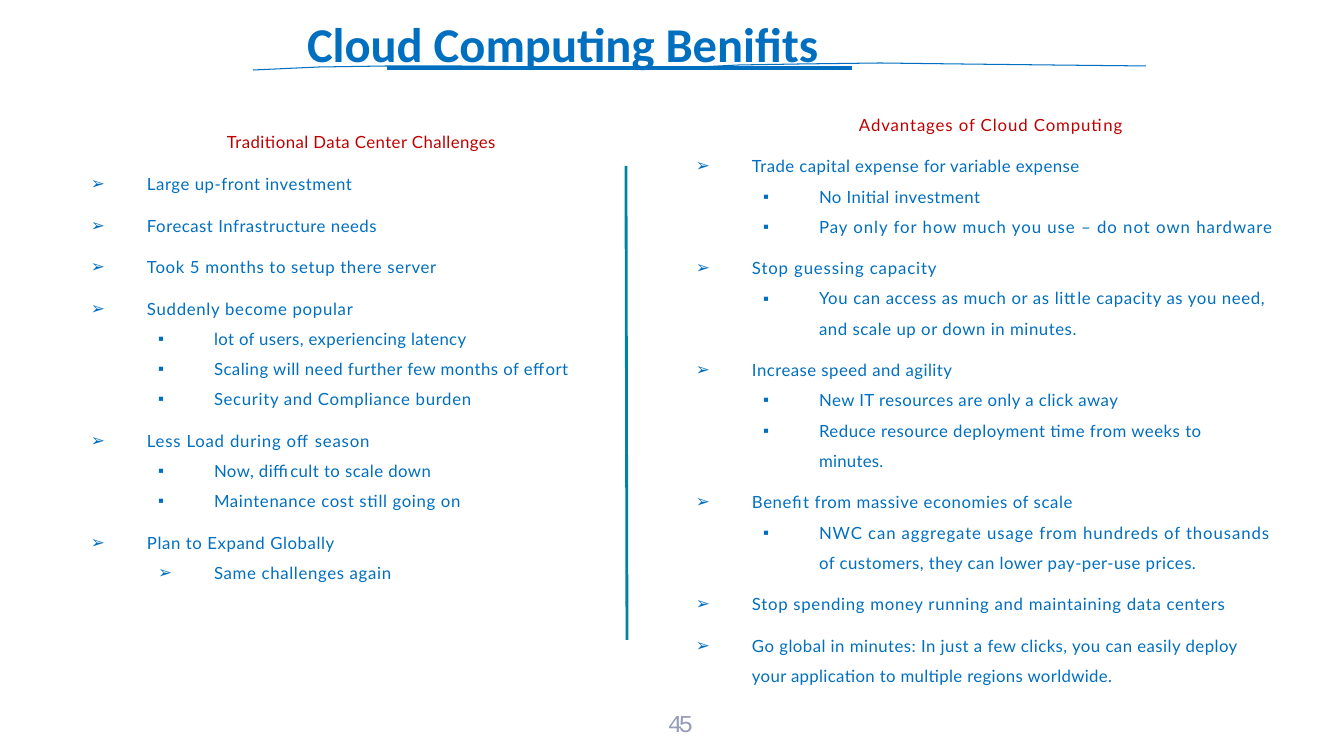
"""Builds the cloud computing benefits slide with two bulleted columns."""
from typing import Any, NamedTuple

from lxml import etree
from pptx import Presentation
from pptx import util as u
from pptx.dml.color import RGBColor
from pptx.enum import shapes, text
from pptx.oxml.ns import qn

EMU_PER_PX = 914400 / 100.8
COLORS = {"blue": "006FC0", "red": "C00000", "teal": "00839F", "gray": "969CB8"}
FONTS = {
    "title": {"name": "Calibri", "size": u.Pt(34.7), "bold": True},
    "body": {"name": "Lato", "size": u.Pt(12), "bold": False},
    "number": {"name": "Courier New", "size": u.Pt(17.3), "bold": False},
}
FRAME = {
    "margin_left": 0, "margin_right": 0, "margin_top": 0, "margin_bottom": 0,
    "word_wrap": True, "auto_size": text.MSO_AUTO_SIZE.NONE,
    "vertical_anchor": text.MSO_ANCHOR.TOP,
}
ARROW, SQUARE = "➢", "▪"
TEXT_INDENT, LEVEL_STEP, HANGING = 57, 67, 56


class Box(NamedTuple):
    left: int
    top: int
    width: int
    height: int


class Item(NamedTuple):
    level: int
    text: str
    tracking: tuple[float, ...]
    bullet: str = ""


class Column(NamedTuple):
    heading: Item
    heading_box: Box
    list_box: Box
    items: list[Item]


class Stroke(NamedTuple):
    points: list[tuple[int, int]]
    color: str
    weight: float


COLUMNS = [
    Column(
        Item(0, "Traditional Data Center Challenges", (0.3,)),
        Box(227, 132, 300, 22), Box(90, 174, 510, 420),
        [
            Item(0, "Large up-front investment", (0.4,), ARROW),
            Item(0, "Forecast Infrastructure needs", (0.36,), ARROW),
            Item(0, "Took 5 months to setup there server", (0.48,), ARROW),
            Item(0, "Suddenly become popular", (0.5,), ARROW),
            Item(1, "lot of users, experiencing latency", (0.25,), SQUARE),
            Item(1, "Scaling will need further few months of effort", (0.35,), SQUARE),
            Item(1, "Security and Compliance burden", (0.47,), SQUARE),
            Item(0, "Less Load during off season", (0.57,), ARROW),
            Item(1, "Now, difficult to scale down", (0.32,), SQUARE),
            Item(1, "Maintenance cost still going on", (0.44,), SQUARE),
            Item(0, "Plan to Expand Globally", (0.43,), ARROW),
            Item(1, "Same challenges again", (0.47,), ARROW),
        ],
    ),
    Column(
        Item(0, "Advantages of Cloud Computing", (0.65,)),
        Box(859, 115, 300, 22), Box(695, 156, 610, 540),
        [
            Item(0, "Trade capital expense for variable expense", (0.31,), ARROW),
            Item(1, "No Initial investment", (0.3,), SQUARE),
            Item(1, "Pay only for how much you use – do not own hardware", (0.7,), SQUARE),
            Item(0, "Stop guessing capacity", (0.62,), ARROW),
            Item(1, "You can access as much or as little capacity as you need,\n"
                 "and scale up or down in minutes.", (0.45, 0.39), SQUARE),
            Item(0, "Increase speed and agility", (0.34,), ARROW),
            Item(1, "New IT resources are only a click away", (0.34,), SQUARE),
            Item(1, "Reduce resource deployment time from weeks to\nminutes.",
                 (0.36, 0.2), SQUARE),
            Item(0, "Benefit from massive economies of scale", (0.43,), ARROW),
            Item(1, "NWC can aggregate usage from hundreds of thousands\n"
                 "of customers, they can lower pay-per-use prices.", (0.66, 0.33), SQUARE),
            Item(0, "Stop spending money running and maintaining data centers",
                 (0.52,), ARROW),
            Item(0, "Go global in minutes: In just a few clicks, you can easily deploy\n"
                 "your application to multiple regions worldwide.", (0.33, 0.26), ARROW),
        ],
    ),
]
SWOOSHES = [
    Stroke([(253, 70), (319, 67), (386, 66), (460, 66), (550, 67), (640, 67), (720, 68)],
           "blue", 0.75),
    Stroke([(679, 68), (739, 65), (800, 64), (880, 63), (960, 64), (1050, 65), (1146, 66)],
           "blue", 0.75),
]
RULES = [
    Stroke([(387, 68), (852, 68)], "blue", 2.75),
    Stroke([(626, 166), (627, 640)], "teal", 2),
]


def px(value: int) -> int:
    return round(value * EMU_PER_PX)


def rgb(color: str) -> RGBColor:
    return RGBColor.from_string(COLORS[color])


def set_attrs(target: Any, values: dict[str, Any]) -> None:
    for name, value in values.items():
        setattr(target, name, value)


def place(sp: Any, box: Box) -> None:
    set_attrs(sp, {name: px(value) for name, value in box._asdict().items()})


def write_item(p: Any, item: Item, font: str, color: str) -> None:
    pPr = p._p.get_or_add_pPr()
    if item.bullet:
        pPr.set("marL", str(px(TEXT_INDENT + LEVEL_STEP * item.level)))
        pPr.set("indent", str(-px(HANGING)))
        etree.SubElement(pPr, qn("a:buChar")).set("char", item.bullet)
    p.level = item.level
    p.alignment = text.PP_ALIGN.LEFT
    for i, (line, tracking) in enumerate(zip(item.text.split("\n"), item.tracking)):
        if i:
            p.add_line_break()
        r = p.add_run()
        r.text = line
        set_attrs(r.font, FONTS[font])
        r.font.color.rgb = rgb(color)
        r._r.get_or_add_rPr().set("spc", str(round(tracking * 100)))


def fill_text(sp: Any, box: Box, items: list[Item], font: str, color: str) -> None:
    place(sp, box)
    tf = sp.text_frame
    set_attrs(tf, FRAME)
    for i, item in enumerate(items):
        p = tf.add_paragraph() if i else tf.paragraphs[0]
        write_item(p, item, font, color)
        p.line_spacing = 1.5 if i else 1.0
        p.space_before = u.Pt(8 if i and item.level == 0 else 0)


def style_line(sp: Any, stroke: Stroke) -> None:
    sp.line.color.rgb = rgb(stroke.color)
    sp.line.width = u.Pt(stroke.weight)


def draw_swoosh(s: Any, stroke: Stroke) -> None:
    builder = s.shapes.build_freeform(*stroke.points[0], scale=EMU_PER_PX)
    builder.add_line_segments(stroke.points[1:], close=False)
    sp = builder.convert_to_shape()
    sp.fill.background()
    sp.shadow.inherit = False
    style_line(sp, stroke)


def draw_rule(s: Any, stroke: Stroke) -> None:
    ends = [px(value) for point in stroke.points for value in point]
    sp = s.shapes.add_connector(shapes.MSO_CONNECTOR.STRAIGHT, *ends)
    style_line(sp, stroke)
    etree.SubElement(sp._element.spPr, qn("a:effectLst"))


def main() -> None:
    prs = Presentation()
    prs.slide_width, prs.slide_height = px(1344), px(756)
    s = prs.slides.add_slide(prs.slide_layouts[4])
    title, *bodies = s.placeholders
    fill_text(title, Box(307, 13, 574, 60),
              [Item(0, "Cloud Computing Benifits", (0,))], "title", "blue")
    title.text_frame.vertical_anchor = text.MSO_ANCHOR.MIDDLE
    for column, heading, points in zip(COLUMNS, bodies[::2], bodies[1::2]):
        fill_text(heading, column.heading_box, [column.heading], "body", "red")
        fill_text(points, column.list_box, column.items, "body", "blue")
    number = s.shapes.add_textbox(0, 0, 0, 0)
    fill_text(number, Box(668, 708, 60, 28), [Item(0, "45", (-2.7,))], "number", "gray")
    for stroke in SWOOSHES:
        draw_swoosh(s, stroke)
    for stroke in RULES:
        draw_rule(s, stroke)
    prs.save("out.pptx")


if __name__ == "__main__":
    main()
